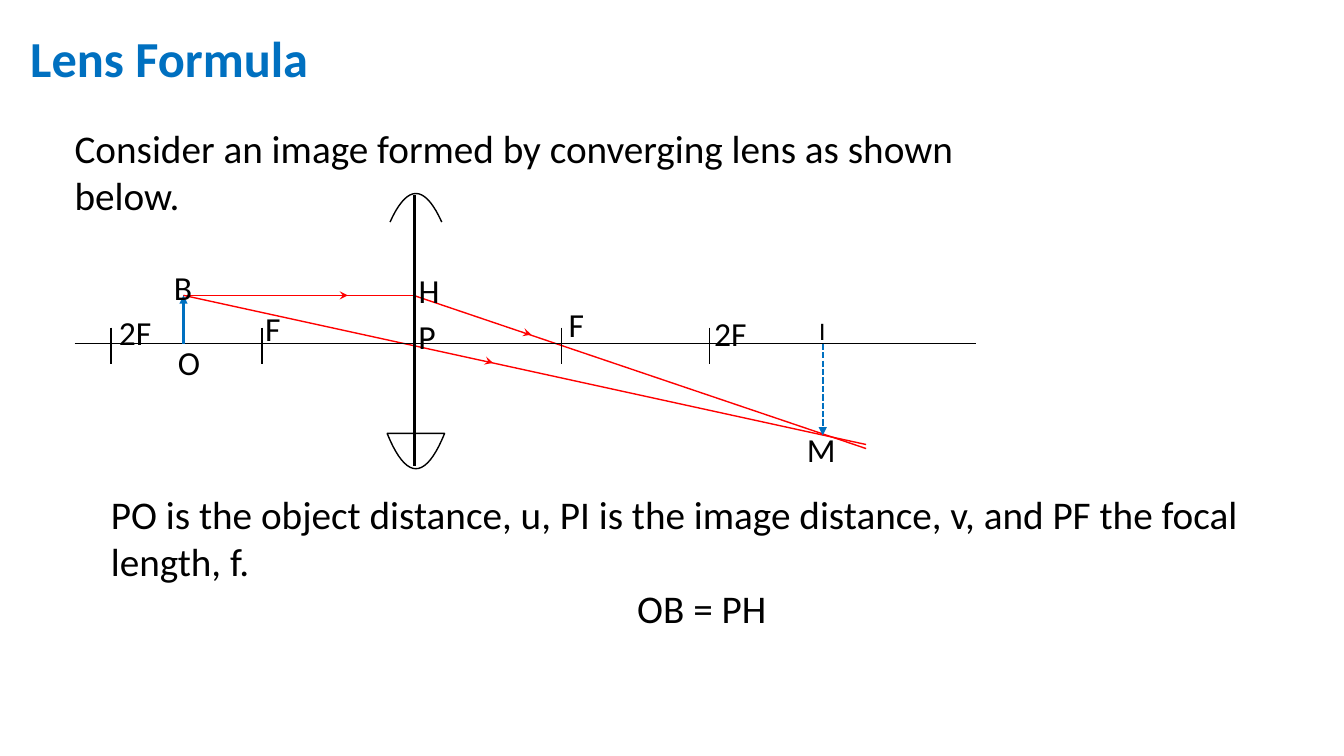
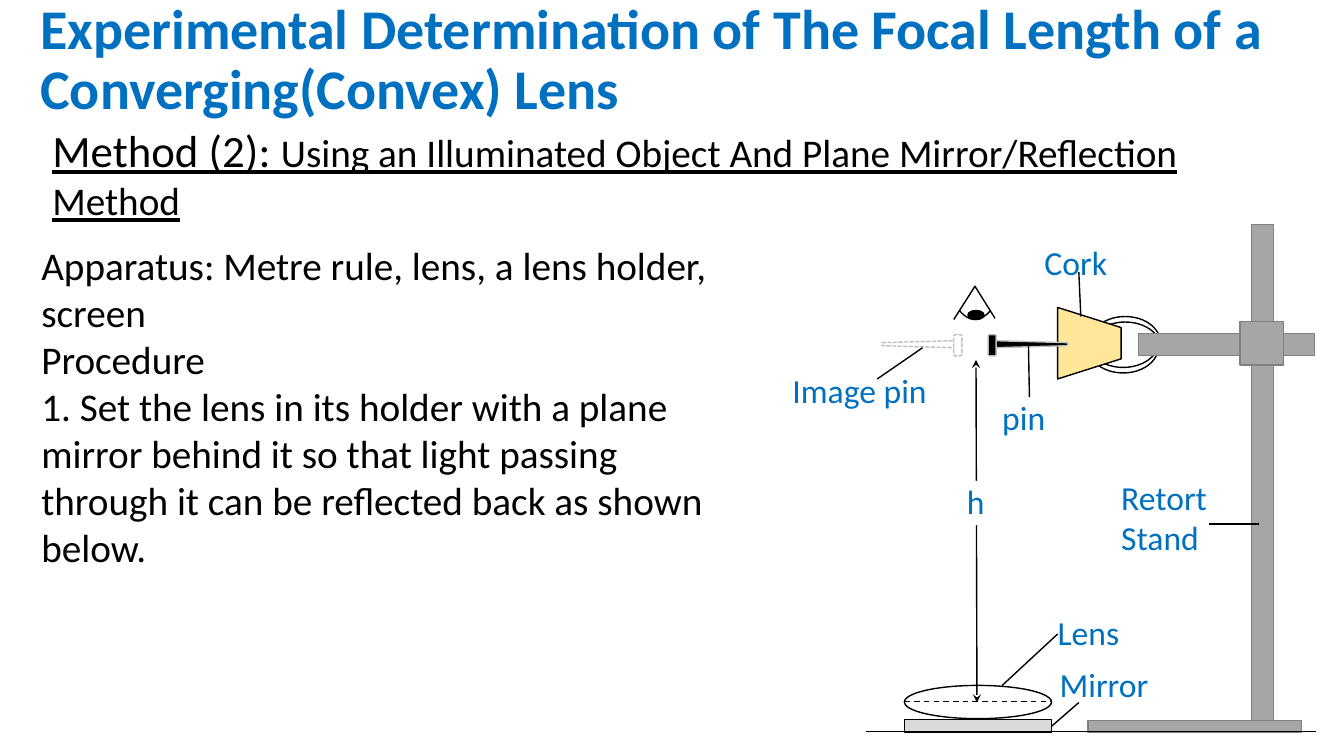
from lxml import etree
from pptx import Presentation
from pptx import util as u
from pptx.dml.color import RGBColor
from pptx.enum import dml, shapes, text
from pptx.oxml import ns

PX = 9144  # one px is a hundredth of an inch
FONT = "Calibri"
BLACK = RGBColor(0x00, 0x00, 0x00)
WHITE = RGBColor(0xFF, 0xFF, 0xFF)
BLUE = RGBColor(0x00, 0x70, 0xC0)
RED = RGBColor(0xFF, 0x00, 0x00)
STEEL = RGBColor(0xA6, 0xA6, 0xA6)
STEEL_EDGE = RGBColor(0x80, 0x80, 0x80)
PIN_EDGE = RGBColor(0xBF, 0xBF, 0xBF)
MIRROR_GREY = RGBColor(0xD9, 0xD9, 0xD9)
CORK_YELLOW = RGBColor(0xFF, 0xE6, 0x99)
SHORT_DASH = dml.MSO_LINE.SQUARE_DOT
LEFT, CENTER = text.PP_ALIGN.LEFT, text.PP_ALIGN.CENTER
STRAIGHT = shapes.MSO_CONNECTOR.STRAIGHT
KIND = shapes.MSO_SHAPE


def write(box, *paragraphs, size=24, colour=BLACK, bold=False, underline=False,
          aligns=(LEFT,), spacing=1.0, anchor=text.MSO_ANCHOR.TOP, inset=0):
    """Each paragraph is a string, or a list of (words, size) runs."""
    frame = box.text_frame
    frame.word_wrap = True
    frame.auto_size = text.MSO_AUTO_SIZE.NONE
    frame.vertical_anchor = anchor
    frame.margin_left = frame.margin_right = inset * PX
    frame.margin_top = frame.margin_bottom = inset * PX // 2
    for i, content in enumerate(paragraphs):
        paragraph = frame.add_paragraph() if i else frame.paragraphs[0]
        paragraph.alignment = aligns[min(i, len(aligns) - 1)]
        paragraph.line_spacing = spacing
        for words, points in [(content, size)] if isinstance(content, str) else content:
            run = paragraph.add_run()
            run.text = words
            run.font.name, run.font.size = FONT, u.Pt(points)
            run.font.bold, run.font.underline = bold, underline
            run.font.color.rgb = colour
    return box


def style(part, fill=None, line=BLACK, width=1, dash=None, head=None, tail=None):
    """Fill and outline a shape or connector, without shadow."""
    if fill is not None:
        part.fill.solid()
        part.fill.fore_color.rgb = fill
    elif hasattr(part, "fill"):
        part.fill.background()
    if line is None:
        part.line.fill.background()
    else:
        part.line.color.rgb = line
        part.line.width = u.Pt(width)
        if dash is not None:
            part.line.dash_style = dash
    properties = part.element.spPr
    for tag, arrow in (("a:headEnd", head), ("a:tailEnd", tail)):
        if arrow:
            etree.SubElement(properties.get_or_add_ln(), ns.qn(tag), type=arrow)
    etree.SubElement(properties, ns.qn("a:effectLst"))
    return part


deck = Presentation()
deck.slide_width, deck.slide_height = 1333 * PX, 750 * PX

# Slides and their titles
slides = []
for heading, left, size in (
    ("Lens Formula", 20, 36),
    ("Experimental Determination of The Focal Length of a Converging(Convex) Lens", 30, 40),
):
    slide = deck.slides.add_slide(deck.slide_layouts[5])
    title = slide.shapes.title
    title.left, title.top, title.width, title.height = left * PX, 16 * PX, 1274 * PX, 90 * PX
    write(title, heading, size=size, colour=BLUE, bold=True, spacing=0.9,
          anchor=text.MSO_ANCHOR.MIDDLE, inset=10)
    slides.append(slide)
formula, experiment = (slide.shapes for slide in slides)

# Lens formula: statements
write(formula.add_textbox(74 * PX, 123 * PX, 1172 * PX, 94 * PX),
      "Consider an image formed by converging lens as shown", "below.", size=28)
write(formula.add_textbox(110 * PX, 486 * PX, 1172 * PX, 141 * PX),
      "PO is the object distance, u, PI is the image distance, v, and PF the focal length, f.",
      "OB = PH", size=28, aligns=(LEFT, CENTER))

# Lens caps: parabolas, the upper one open
for apex, direction, closed in ((192, 1, False), (465, -1, True)):
    curve = [(round((412.5 + 2.85 * step) * PX), round((apex + direction * 0.35 * step ** 2) * PX))
             for step in range(-10, 11)]
    if not closed:
        curve = curve[1:-1]
    cap = formula.build_freeform(*curve[0], scale=1)
    cap.add_line_segments(curve[1:], close=closed)
    style(cap.convert_to_shape())

# Rays, axis, lens, object and image
AXIS, RAY = 341, 293
for x1, y1, x2, y2, look in (
    (182, RAY, 412, RAY, dict(line=RED)),
    (182, RAY, 859, 441, dict(line=RED)),
    (410, RAY, 859, 445, dict(line=RED)),
    (328, RAY, 345, RAY, dict(line=RED, width=0.25, tail="stealth")),
    (517, 329, 527, 332, dict(line=RED, width=0.25, tail="stealth")),
    (482, 358, 489, 360, dict(line=RED, width=0.25, tail="stealth")),
    (74, AXIS, 968, AXIS, {}),
    (182, AXIS, 182, RAY, dict(line=BLUE, width=1.5, tail="triangle")),
    (816, AXIS, 816, 432, dict(line=BLUE, width=1.5, dash=SHORT_DASH, tail="triangle")),
    (411, 193, 411, 462, dict(width=2.25)),
    *((x, 325, x, 361, {}) for x in (110, 260, 410, 557, 704)),
):
    style(formula.add_connector(STRAIGHT, x1 * PX, y1 * PX, x2 * PX, y2 * PX), **look)

# Point labels
for label, x, y, w, size, align in (
    ("F", 564, 302, 33, 24, LEFT), ("F", 263, 305, 33, 24, LEFT),
    ("2F", 118, 309, 43, 24, LEFT), ("2F", 703, 310, 43, 24, CENTER),
    ("O", 171, 339, 33, 24, CENTER), ("B", 165, 265, 33, 24, CENTER),
    ("H", 409, 268, 33, 24, CENTER), ("P", 407, 313, 33, 24, CENTER),
    ("I", 799, 313, 33, 18, CENTER), ("M", 798, 426, 33, 24, CENTER),
):
    write(formula.add_textbox(x * PX, y * PX, w * PX, 40 * PX), label, size=size, aligns=(align,))

# Experiment: method and procedure
write(experiment.add_textbox(52 * PX, 122 * PX, 1214 * PX, 101 * PX),
      [("Method (2): ", 32),
       ("Using an Illuminated Object And Plane Mirror/Reflection Method", 28)], underline=True)
write(experiment.add_textbox(41 * PX, 239 * PX, 689 * PX, 330 * PX),
      "Apparatus: Metre rule, lens, a lens holder, screen", "Procedure",
      "1. Set the lens in its holder with a plane mirror behind it so that light passing "
      "through it can be reflected back as shown below.", size=28)

# Clamp jaws
for x, y, turn in ((1101, 322, 270), (1103, 292, 90)):
    jaw = style(experiment.add_shape(KIND.MOON, x * PX, y * PX, 26 * PX, 70 * PX))
    jaw.adjustments[0] = 0.21
    jaw.rotation = turn

# Retort stand: base, post, arm, boss
for x, y, w, h in ((1079, 715, 212, 12), (1241, 223, 22, 492),
                   (1129, 331, 175, 22), (1230, 319, 43, 43)):
    style(experiment.add_shape(KIND.RECTANGLE, x * PX, y * PX, w * PX, h * PX), STEEL, STEEL_EDGE)

# Lens on the mirror
mirror = style(experiment.add_shape(KIND.RECTANGLE, 897 * PX, 714 * PX, 146 * PX, 13 * PX), MIRROR_GREY)
style(experiment.add_shape(KIND.OVAL, 897 * PX, 680 * PX, 146 * PX, 33 * PX), WHITE)

# Cork, pin needles (mirrored about the eye) and eye outlines
EYE = 967
needle = [(19, 338), (19, 345), (92, 343), (92, 340)]
lid = [(EYE + 1.55 * step, 317 - 0.09 * step ** 2) for step in range(-10, 11)]
for points, closed, look in (
    ([(1049, 376), (1049, 305), (1112, 325), (1112, 356)], True, dict(fill=CORK_YELLOW)),
    ([(EYE + x, y) for x, y in needle], True, dict(fill=BLACK, line=PIN_EDGE)),
    ([(EYE - x, y) for x, y in needle], True, dict(fill=WHITE, line=PIN_EDGE, dash=SHORT_DASH)),
    ([(946, 317), (EYE, 284), (987, 316)], False, {}),
    (lid, False, {}),
):
    corners = [(round(x * PX), round(y * PX)) for x, y in points]
    outline = experiment.build_freeform(*corners[0], scale=1)
    outline.add_line_segments(corners[1:], close=closed)
    style(outline.convert_to_shape(), **look)

# Pin heads and pupil
for kind, x, y, w, h, look in (
    (KIND.ROUNDED_RECTANGLE, 980, 332, 8, 21, dict(fill=BLACK, line=PIN_EDGE)),
    (KIND.ROUNDED_RECTANGLE, 946, 332, 8, 21, dict(fill=WHITE, line=PIN_EDGE, dash=SHORT_DASH)),
    (KIND.OVAL, 960, 308, 16, 9, dict(fill=BLACK)),
):
    style(experiment.add_shape(kind, x * PX, y * PX, w * PX, h * PX), **look)

# Lens axis, height arrow, bench and leaders
for x1, y1, x2, y2, look in (
    (897, 696, 1043, 696, dict(dash=dml.MSO_LINE.DASH)),
    (968, 357, 969, 697, dict(head="stealth", tail="stealth")),
    (1305, 726, 859, 726, {}),
    (1020, 340, 1021, 394, {}),
    (915, 345, 870, 376, {}),
    (1072, 314, 1070, 270, {}),
    (1249, 520, 1199, 520, {}),
):
    style(experiment.add_connector(STRAIGHT, x1 * PX, y1 * PX, x2 * PX, y2 * PX), **look)

# Part labels
height_label = experiment.add_shape(KIND.RECTANGLE, 959 * PX, 477 * PX, 34 * PX, 44 * PX)
write(style(height_label, WHITE, None), "h", colour=BLUE)
labels = {}
for label, x, y, w, h in (
    ("Lens", 1049, 607, 174, 44), ("Mirror", 1051, 659, 206, 44),
    ("Image pin", 786, 367, 206, 44), ("pin", 994, 394, 206, 44),
    ("Cork", 1036, 240, 206, 44), ("Retort Stand", 1112, 473, 129, 88),
):
    labels[label] = write(experiment.add_textbox(x * PX, y * PX, w * PX, h * PX), label, colour=BLUE)

# Leaders joined to the lens label and the mirror
lens_leader = style(experiment.add_connector(STRAIGHT, 994 * PX, 680 * PX, 1049 * PX, 629 * PX))
lens_leader.end_connect(labels["Lens"], 1)
mirror_leader = style(experiment.add_connector(STRAIGHT, 1043 * PX, 720 * PX, 1070 * PX, 697 * PX))
mirror_leader.begin_connect(mirror, 3)

deck.save("out.pptx")
